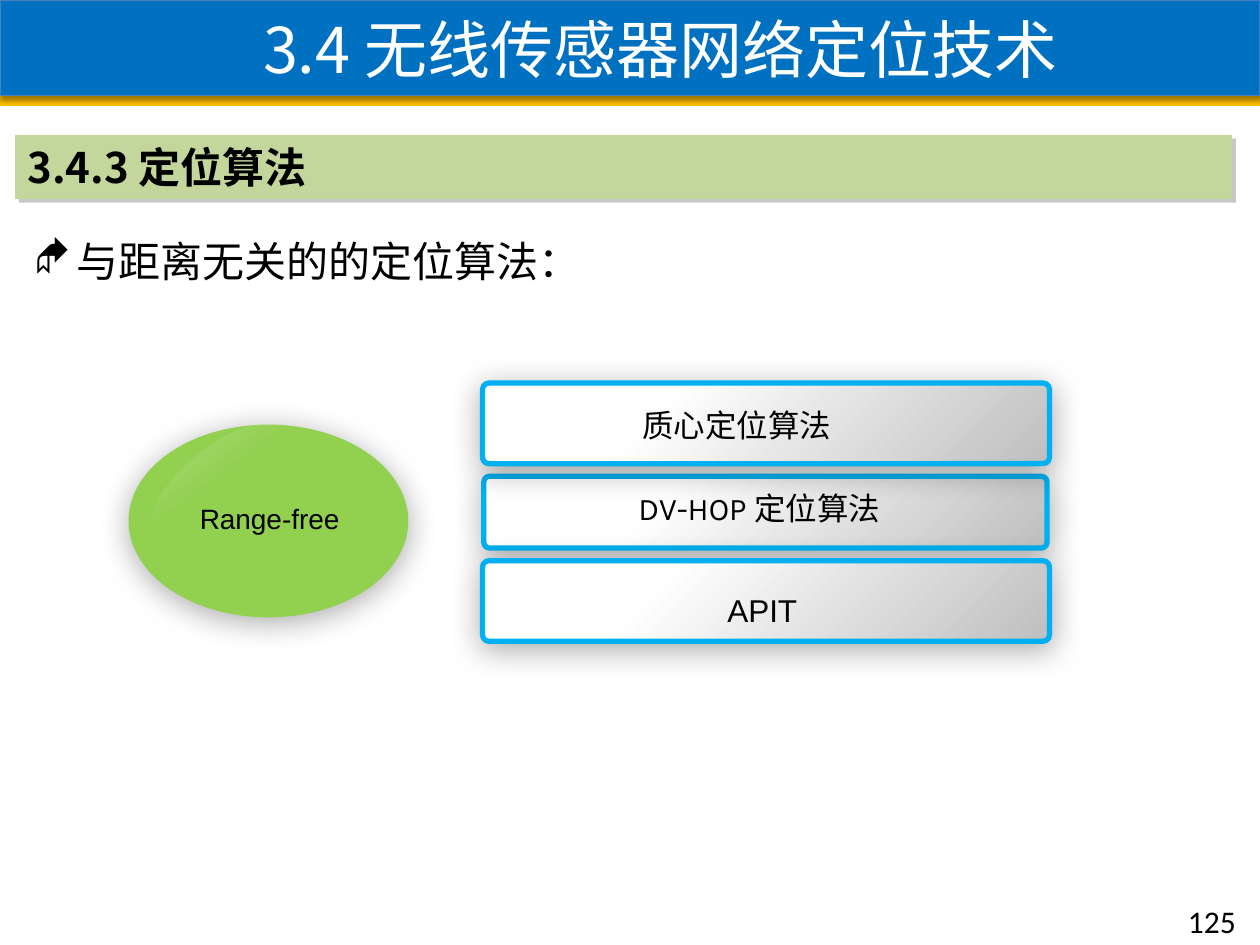
from dataclasses import dataclass

from pptx import Presentation
from pptx.dml.color import RGBColor as RGB
from pptx.enum.shapes import MSO_SHAPE as SHAPE
from pptx.enum.text import MSO_ANCHOR as ANCHOR, PP_ALIGN as ALIGN
from pptx.oxml.ns import qn
from pptx.util import Emu, Pt
from lxml.etree import SubElement

PX = 9144  # EMU per px, 100 px to the inch


@dataclass(frozen=True)
class Theme:
    blue: str = "0070C0"
    blue_edge: str = "4B7EBC"
    gold: str = "FFC000"
    sage: str = "C3D69B"
    green: str = "92D050"
    cyan: str = "00B0F0"
    silver: str = "BFBFBF"
    gray: str = "808080"
    white: str = "FFFFFF"
    black: str = "000000"
    cjk: str = "Noto Sans CJK SC"
    latin: str = "Arial"
    row: str = "Karla"
    number: str = "Calibri"
    title: int = 36
    heading: int = 24
    label: int = 18
    small: int = 16


T = Theme()
# Shadows: colour, opacity %, blur pt, distance pt, direction in degrees
TITLE_SHADOW = (T.black, 38, 3.1, 1.6, 90)
HARD_SHADOW = (T.gray, 43, 0, 3, 45)
SOFT_SHADOW = (T.black, 33, 17.8, 3, 87)


def px(*values):
    return [Emu(v * PX) for v in values]


def add_alpha(color, percent):
    SubElement(color, qn("a:alpha"), val=str(percent * 1000))


def add_shadow(s, color, opacity, blur, dist, angle):
    s.shadow.inherit = False  # leaves an empty effect list to fill
    effects = s._element.spPr.find(qn("a:effectLst"))
    outer = SubElement(effects, qn("a:outerShdw"), blurRad=str(Pt(blur)),
                       dist=str(Pt(dist)), dir=str(angle * 60000),
                       algn="ctr", rotWithShape="0")
    add_alpha(SubElement(outer, qn("a:srgbClr"), val=color), opacity)


def set_gradient(s, stops, angle):
    s.fill.gradient()
    s.fill.gradient_angle = angle
    for stop, (position, color) in zip(s.fill.gradient_stops, stops):
        stop.position = position
        stop.color.rgb = RGB.from_string(color)


def add_shape(shapes, kind, x, y, w, h, fill=None, line=None, width=1, shadow=None):
    s = shapes.add_shape(kind, *px(x, y, w, h))
    s.shadow.inherit = False
    if fill:
        s.fill.solid()
        s.fill.fore_color.rgb = RGB.from_string(fill)
    if line:
        s.line.color.rgb = RGB.from_string(line)
        s.line.width = Pt(width)
    else:
        s.line.fill.background()
    if shadow:
        add_shadow(s, *shadow)
    return s


def write(s, text, size, font=T.latin, color=T.black, bold=False,
          align=ALIGN.LEFT, anchor=ANCHOR.TOP, wrap=True):
    tf = s.text_frame
    tf.word_wrap, tf.vertical_anchor = wrap, anchor
    p = tf.paragraphs[0]
    p.alignment = align
    r = p.add_run()
    r.text = text
    for name, value in {"size": Pt(size), "name": font, "bold": bold}.items():
        setattr(r.font, name, value)
    r.font.color.rgb = RGB.from_string(color)
    SubElement(r._r.get_or_add_rPr(), qn("a:ea"), typeface=T.cjk)
    return p


def add_text(shapes, x, y, w, h, text, size, **style):
    return write(shapes.add_textbox(*px(x, y, w, h)), text, size, **style)


def title_band(shapes, x, y, w, h):
    stripe = 8
    bar = h - stripe
    add_shape(shapes, SHAPE.RECTANGLE, x, y + bar, w, stripe, fill=T.gold)
    s = add_shape(shapes, SHAPE.RECTANGLE, x, y, w, bar, fill=T.blue,
                  line=T.blue_edge, width=0.75, shadow=TITLE_SHADOW)
    s.text_frame.margin_left, = px(58)
    write(s, "3.4 无线传感器网络定位技术", T.title, font=T.cjk, color=T.white,
          align=ALIGN.CENTER, anchor=ANCHOR.MIDDLE)


def section_heading(shapes, x, y, w, h):
    s = add_shape(shapes, SHAPE.RECTANGLE, x, y, w, h, fill=T.sage, shadow=HARD_SHADOW)
    write(s, "3.4.3 定位算法", T.heading, font=T.cjk, bold=True)


def bullet_line(shapes, x, y, w, h):
    p = add_text(shapes, x, y, w, h, "与距离无关的的定位算法：", T.heading)
    pPr = p._p.get_or_add_pPr()
    indent, = px(34)
    pPr.set("marL", str(indent))
    pPr.set("indent", str(-indent))
    SubElement(pPr, qn("a:buFont"), typeface="Wingdings")
    SubElement(pPr, qn("a:buChar"), char="◆")


def range_free_ellipse(shapes, x, y, w, h):
    group = shapes.add_group_shape().shapes
    add_shape(group, SHAPE.OVAL, x, y, w, h, fill=T.green, shadow=SOFT_SHADOW)
    # Glossy highlight fading to clear
    shine = add_shape(group, SHAPE.OVAL, x + 6, y + 13, 151, 74)
    shine.rotation = 323.1
    set_gradient(shine, [(0, T.white), (0.45, T.white)], 270)
    for color, opacity in zip(shine._element.spPr.iter(qn("a:srgbClr")), (40, 0)):
        add_alpha(color, opacity)
    add_text(group, x - 2, y + 56, w + 6, 37, "Range-free", T.small,
             align=ALIGN.CENTER, anchor=ANCHOR.MIDDLE)


def algorithm_row(shapes, x, y, w, h, text, label, **style):
    """Draw one panel; label is its text box relative to the panel."""
    group = shapes.add_group_shape().shapes
    s = add_shape(group, SHAPE.ROUNDED_RECTANGLE, x, y, w, h, line=T.cyan,
                  width=3, shadow=SOFT_SHADOW)
    s.adjustments[0] = 0.08
    set_gradient(s, [(0.3, T.white), (1, T.silver)], 315)
    dx, dy, lw, lh = label
    add_text(group, x + dx, y + dy, lw, lh, text, T.label, **style)


def algorithm_list(shapes, x, y, w, h):
    row = 64
    # The middle panel lies beneath its neighbours
    algorithm_row(shapes, x + 1, y + 74, w - 3, 57, "DV-HOP 定位算法",
                  (16, 5, 405, 40), font=T.row, align=ALIGN.CENTER)
    algorithm_row(shapes, x, y + h - row, w, row, "APIT",
                  (18, 19, 408, 40), align=ALIGN.CENTER)
    algorithm_row(shapes, x, y, w, row, "质心定位算法",
                  (117, 13, 170, 40), font=T.row, wrap=False)


def main():
    prs = Presentation()
    prs.slide_width, prs.slide_height = px(1000, 750)
    shapes = prs.slides.add_slide(prs.slide_layouts[6]).shapes
    title_band(shapes, 0, 0, 1000, 84)
    section_heading(shapes, 12, 107, 966, 51)
    bullet_line(shapes, 17, 182, 890, 51)
    range_free_ellipse(shapes, 102, 337, 222, 153)
    algorithm_list(shapes, 383, 304, 450, 205)
    # Slide number
    add_text(shapes, 933, 711, 66, 40, "125", T.label, font=T.number)
    prs.save("out.pptx")


if __name__ == "__main__":
    main()
